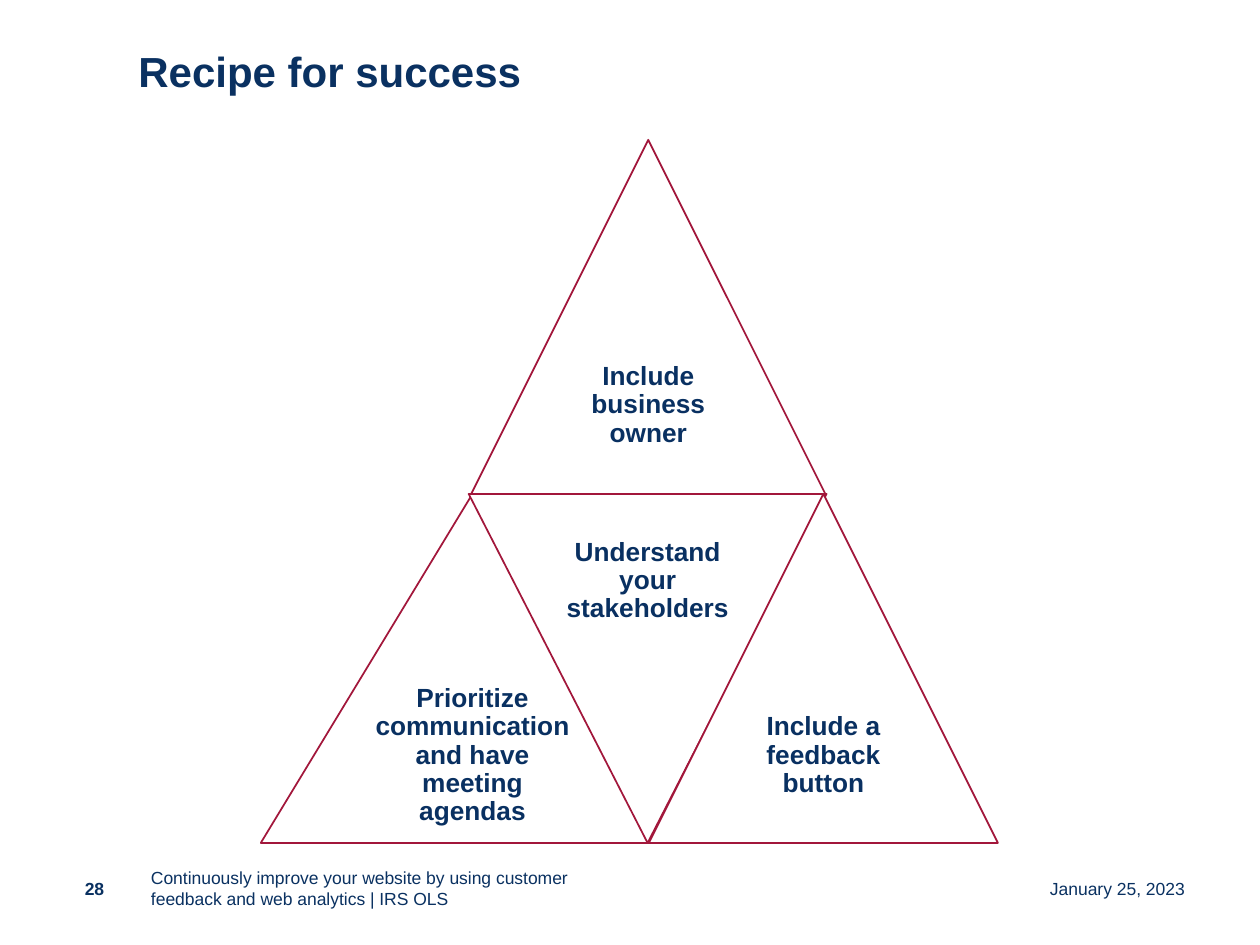
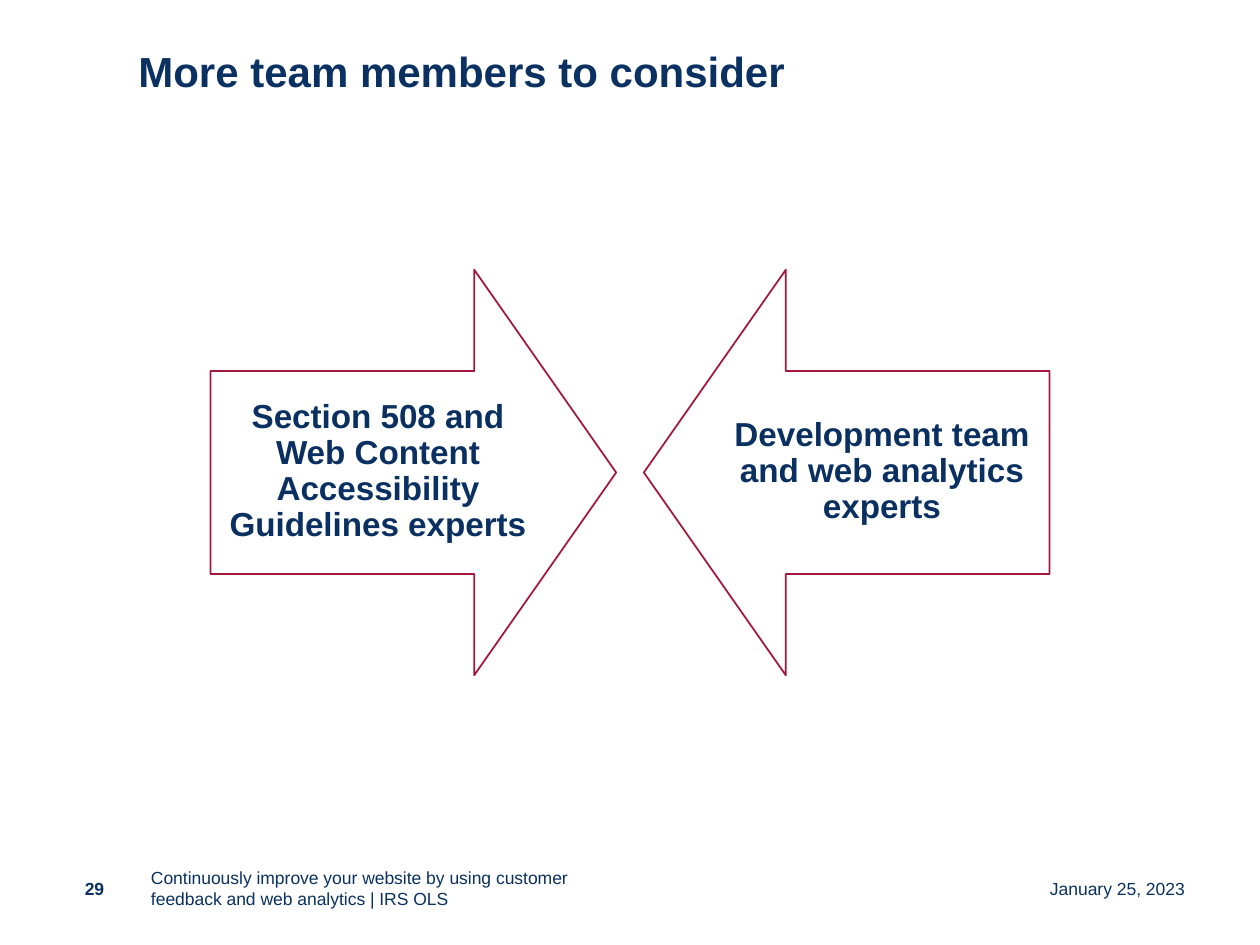
from pptx import Presentation
from pptx.dml.color import RGBColor
from pptx.enum.shapes import MSO_SHAPE as Shape
from pptx.enum.text import MSO_ANCHOR as Anchor, PP_ALIGN as Align
from pptx.util import Inches, Pt

COLUMNS, ROWS = 100, 75
NAVY, LABEL_NAVY, CRIMSON, WHITE = "0A3161", "093061", "A2173B", "FFFFFF"
FOOTER = ("Continuously improve your website by using customer feedback "
          "and web analytics | IRS OLS")
DATE = "January 25, 2023"


def color(value):
    return RGBColor.from_string(value)


class SlideBuilder:
    """Holds the deck, its style and the current page; lengths are grid cells."""

    font_name = "Arial"

    def __init__(self):
        self.deck = Presentation()
        self.deck.slide_width, self.deck.slide_height = Inches(10), Inches(7.5)
        self.cell_width = self.deck.slide_width / COLUMNS
        self.cell_height = self.deck.slide_height / ROWS
        self.page = None

    def place(self, left, top, width, height):
        return (round(left * self.cell_width), round(top * self.cell_height),
                round(width * self.cell_width), round(height * self.cell_height))

    def text(self, words, area, size, ink=NAVY, bold=False, align=Align.LEFT,
             spacing=1.0, inset=None):
        box = self.page.shapes.add_textbox(*self.place(*area))
        frame = box.text_frame
        settings = {"word_wrap": True, "vertical_anchor": Anchor.MIDDLE}
        if inset is not None:
            for side in ("left", "right", "top", "bottom"):
                settings["margin_" + side] = Inches(inset)
        for name, value in settings.items():
            setattr(frame, name, value)
        para = frame.paragraphs[0]
        para.alignment, para.line_spacing = align, spacing
        span = para.add_run()
        span.text = words
        span.font.color.rgb = color(ink)
        for name, value in {"name": self.font_name, "size": Pt(size), "bold": bold}.items():
            setattr(span.font, name, value)

    def label(self, words, area, size, inset):
        self.text(words, area, size, LABEL_NAVY, True, Align.CENTER, 0.9, inset)

    def outline(self, kind, area, rotation=0):
        shape = self.page.shapes.add_shape(kind, *self.place(*area))
        shape.shadow.inherit = False
        shape.rotation = rotation
        shape.fill.solid()
        shape.fill.fore_color.rgb = color(WHITE)
        shape.line.color.rgb = color(CRIMSON)
        shape.line.width = Pt(1)
        return shape

    def triangle(self, words, area, inverted=False):
        self.outline(Shape.ISOSCELES_TRIANGLE, area, 180 if inverted else 0)
        # The label fills the middle half of the width, on the base's side
        left, top, width, height = area
        label_top = top if inverted else top + height / 2
        self.label(words, (left + width / 4, label_top, width / 2, height / 2), 15, 0.05)

    def arrow(self, words, left, label_left, rotation):
        shape = self.outline(Shape.DOWN_ARROW, (left, 21.4, 32.2, 32.2), rotation)
        shape.adjustments[0], shape.adjustments[1] = 0.5, 0.35
        self.label(words, (label_left, 29.4, 26.6, 16.1), 19, 0.14)

    def start_page(self, title, number):
        self.page = self.deck.slides.add_slide(self.deck.slide_layouts[6])
        self.text(title, (10, 2.1, 60, 7.5), 24, bold=True, spacing=0.9)
        # Footer band
        self.text(str(number), (5, 68.5, 5, 4), 10, bold=True, align=Align.CENTER)
        self.text(FOOTER, (11, 68.5, 40, 4), 10)
        self.text(DATE, (73.2, 68.5, 21.8, 4), 10, align=Align.RIGHT)


def main():
    builder = SlideBuilder()

    # Pyramid of four triangles
    builder.start_page("Recipe for success", 28)
    row_top, row_height = 39.2, 27.7
    builder.triangle("Include business owner", (37.4, 11.1, 28.1, 28.1))
    builder.triangle("Prioritize communication and have meeting agendas",
                     (20.7, row_top, 33.6, row_height))
    builder.triangle("Understand your stakeholders",
                     (37.2, row_top, 28.4, row_height), inverted=True)
    builder.triangle("Include a feedback button", (51.5, row_top, 27.7, row_height))

    # Two arrows that face each other
    builder.start_page("More team members to consider", 29)
    builder.arrow("Section 508 and Web Content Accessibility Guidelines experts",
                  16.7, 16.7, 270)
    builder.arrow("Development team and web analytics experts", 51.1, 56.7, 90)

    builder.deck.save("out.pptx")


if __name__ == "__main__":
    main()
